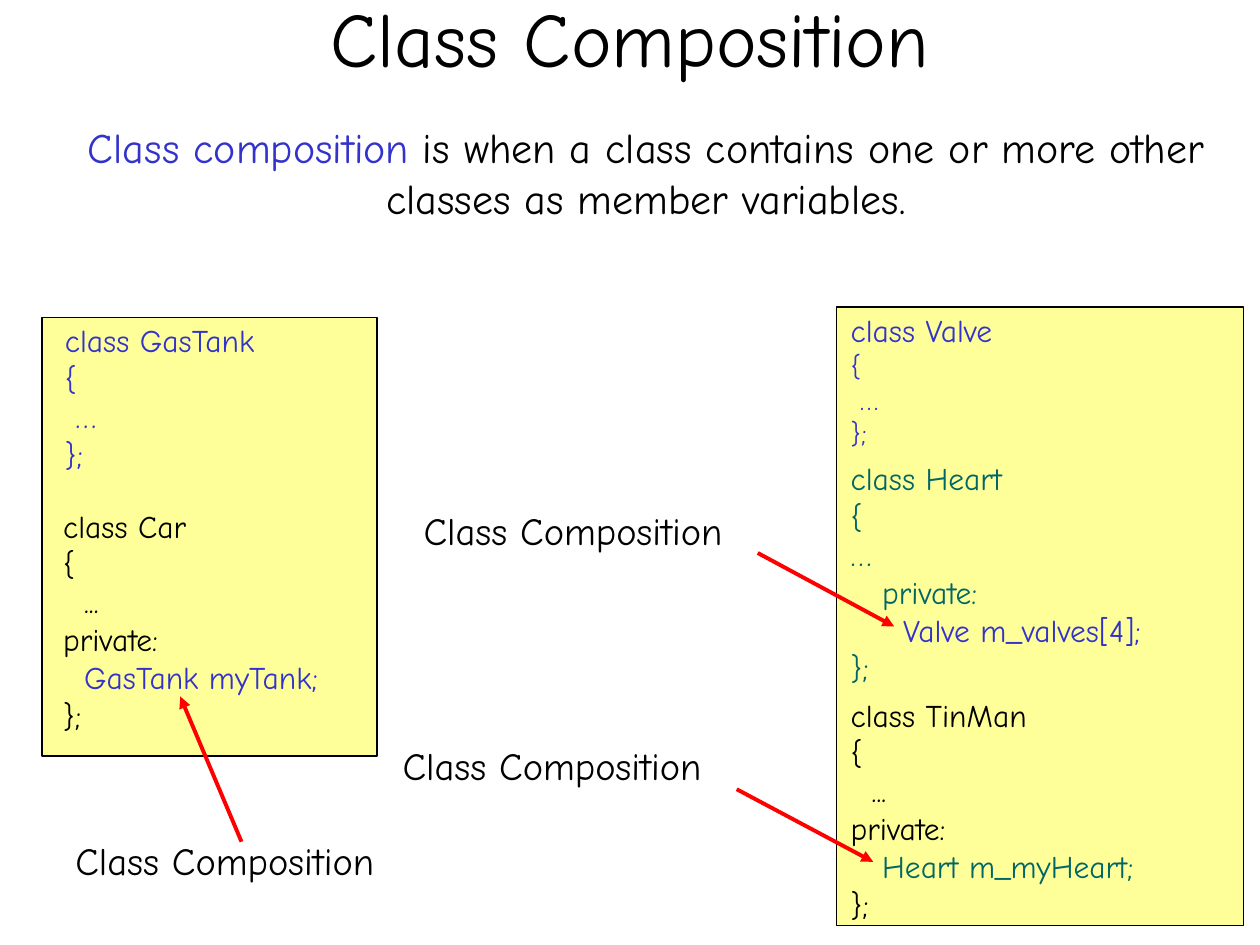
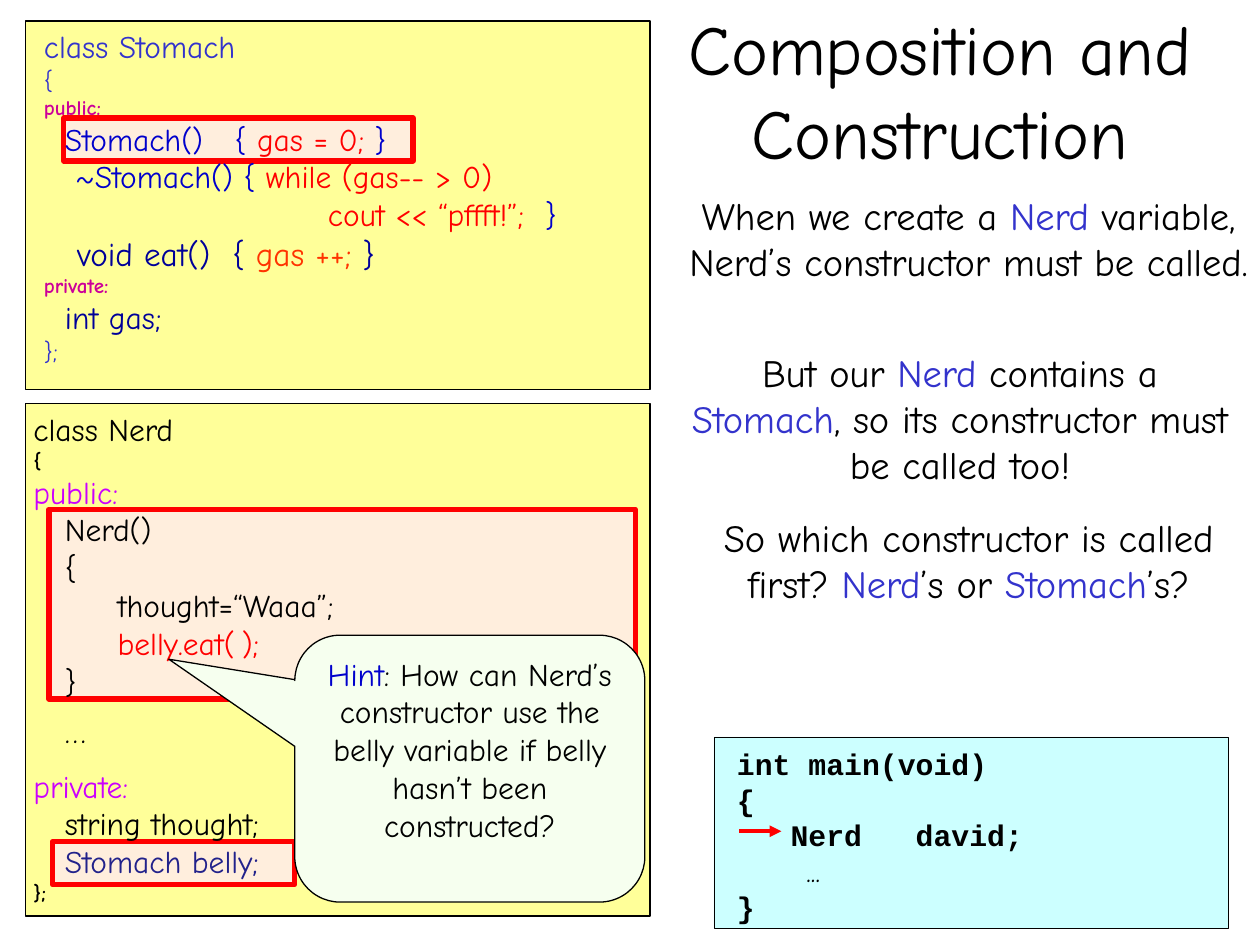
from lxml import etree
from pptx import Presentation
from pptx.dml.color import RGBColor
from pptx.enum.shapes import MSO_CONNECTOR, MSO_SHAPE
from pptx.enum.text import MSO_ANCHOR, MSO_AUTO_SIZE, PP_ALIGN
from pptx.oxml.ns import qn
from pptx.util import Pt

RECT, BUBBLE = MSO_SHAPE.RECTANGLE, MSO_SHAPE.ROUNDED_RECTANGULAR_CALLOUT
LINE = MSO_CONNECTOR.STRAIGHT
LEFT, MID = PP_ALIGN.LEFT, PP_ALIGN.CENTER
TOP, CENTER = MSO_ANCHOR.TOP, MSO_ANCHOR.MIDDLE

BLACK = RGBColor(0x00, 0x00, 0x00)
BLUE = RGBColor(0x33, 0x33, 0xCC)
DEEP = RGBColor(0x00, 0x00, 0xCC)
NAVY = RGBColor(0x00, 0x00, 0x99)
DUSK = RGBColor(0x22, 0x22, 0x8B)
TEAL = RGBColor(0x00, 0x66, 0x66)
RED = RGBColor(0xFF, 0x00, 0x00)
ORANGE = RGBColor(0xFF, 0x33, 0x00)
PLUM = RGBColor(0xCC, 0x00, 0x99)
PINK = RGBColor(0xCC, 0x00, 0xFF)
YELLOW = RGBColor(0xFF, 0xFF, 0x99)
CYAN = RGBColor(0xCC, 0xFF, 0xFF)
PEACH = RGBColor(0xFF, 0xEE, 0xDD)
MINT = RGBColor(0xF6, 0xFF, 0xEF)

HAND, MONO = "Comic Neue", "Courier New"


# Run formats used again and again
def ink(text, tone, **form):
    return text, dict(form, tone=tone)


def access(word):
    return [ink(word, PLUM, size=12, bold=True)]


# Content: a line is a string or a list of runs
DEFINE = [[ink("Class composition", BLUE),
           " is when a class contains one or more other classes as member variables."]]
TANK = ["class GasTank", "{", " …", "};"]
CAR = ["class Car", "{", "  ...", "private:",
       ["  ", ink("GasTank myTank;", BLUE)], "};"]
VALVE = [[("class Valve", {"size": 18})], "{", " …", "};"]
HEART = ["class Heart", "{", "…", "   private:",
         ["     ", ink("Valve m_valves[4];", BLUE)], "};"]
TINMAN = ["class TinMan", "{", "  ...", "private:",
          ["   ", ink("Heart m_myHeart;", TEAL)], "};"]

# Code on the first slide: box, lines, colour, size
CODES = [
    ((30, 180, 132, 119), TANK, BLUE, 18),
    ((29, 286, 186, 138), CAR, BLACK, 18),
    ((479, 174, 231, 99), VALVE, BLUE, 16),
    ((479, 259, 231, 140), HEART, TEAL, 18),
    ((479, 394, 231, 140), TINMAN, BLACK, 18),
]
# Label box, then arrow start and end
MARKS = [
    ((36, 474.5, 200, 34), (138, 481), (103, 398)),
    ((235, 286, 200, 34), (433, 316), (511, 358)),
    ((223, 420.5, 200, 34), (421, 451), (499, 492.5)),
]

STOMACH = [
    "class Stomach",
    [("{", {"size": 14})],
    access("public:"),
    [ink("  Stomach()   { ", DEEP), ink("gas = 0;", RED), ink(" }", DEEP)],
    [ink("   ~Stomach() { ", DEEP), ink("while (gas-- > 0)", RED)],
    [ink("                           cout << “pffft!”;  ", RED), ink("}", DEEP)],
    [ink("   void eat()  { ", NAVY, size=19), ink("gas ++; ", ORANGE, size=19),
     ink("}", NAVY, size=19)],
    access("private:"),
    [ink("  int gas;", NAVY)],
    [("};", {"size": 14})],
]
NERD = [
    "class Nerd",
    [("{", {"size": 12, "bold": True})],
    [ink("public:", PINK)],
    "   Nerd()",
    "   {",
    "        thought=“Waaa”;",
    [ink("        belly.eat(", RED), ink(" ", RED, size=12), ink(");", RED)],
    "   }",
    [("   …", {"gap": 7.2})],
    [ink("private:", PINK, gap=9.6)],
    "   string thought;",
    [ink("   Stomach belly;", DUSK)],
    [("};", {"size": 12, "bold": True})],
]
MAIN = ["int main(void)", "{", "   Nerd   david;",
        [("       ...", {"font": HAND, "bold": False})], "}"]
HINT = [[ink("Hint", DEEP), ": How can Nerd’s constructor use the belly variable "
         "if belly hasn’t been constructed?"]]
nerd, belly = ink("Nerd", BLUE), ink("Stomach", BLUE)
POINTS = [
    ((386, 106, 335, 86),
     ["When we create a ", nerd, " variable, Nerd’s constructor must be called."]),
    ((386, 196, 325, 86),
     ["But our ", nerd, " contains a ", belly, ", so its constructor must be called too!"]),
    ((385, 290, 337, 60),
     ["So which constructor is called first? ", nerd, "’s or ", belly, "’s?"]),
]
# Red frames behind the code: constructor, member, base constructor
FRAMES = [(28, 291, 335, 108.5), (30, 481, 138.5, 24.5), (36.5, 67.5, 199.5, 24.5)]


# Helpers
def write(shape, lines, size=18, tone=BLACK, font=HAND, bold=False,
          align=LEFT, anchor=TOP):
    frame = shape.text_frame
    frame.word_wrap = True
    frame.auto_size = MSO_AUTO_SIZE.NONE
    frame.vertical_anchor = anchor
    for i, line in enumerate(lines):
        para = frame.add_paragraph() if i else frame.paragraphs[0]
        para.alignment = align
        para.space_before = Pt(0)
        for part in [line] if isinstance(line, str) else line:
            text, form = (part, {}) if isinstance(part, str) else part
            run = para.add_run()
            run.text = text
            run.font.name = form.get("font", font)
            run.font.size = Pt(form.get("size", size))
            run.font.bold = form.get("bold", bold)
            run.font.color.rgb = form.get("tone", tone)
            if "gap" in form:
                para.space_before = Pt(form["gap"])


def note(slide, box, lines, **form):
    write(slide.shapes.add_textbox(*map(Pt, box)), lines, **form)


def panel(slide, box, fill, edge=BLACK, width=0.75, kind=RECT):
    shape = slide.shapes.add_shape(kind, *map(Pt, box))
    shape.shadow.inherit = False
    shape.fill.solid()
    shape.fill.fore_color.rgb = fill
    shape.line.color.rgb = edge
    shape.line.width = Pt(width)
    return shape


def arrow(slide, start, end):
    link = slide.shapes.add_connector(LINE, *map(Pt, start + end))
    link.line.color.rgb = RED
    link.line.width = Pt(2.25)
    etree.SubElement(link.line._get_or_add_ln(), qn("a:tailEnd"), type="triangle")
    etree.SubElement(link._element.spPr, qn("a:effectLst"))


def start(deck, title, box, size):
    slide = deck.slides.add_slide(deck.slide_layouts[5])
    head = slide.shapes.title
    head.left, head.top, head.width, head.height = map(Pt, box)
    write(head, [title], size=size, align=MID, anchor=CENTER)
    return slide


def compose(deck):
    slide = start(deck, "Class Composition", (54, -24, 612, 90), 44)
    note(slide, (36, 66, 666, 66), DEFINE, size=24, align=MID)
    # Code panels
    panel(slide, (24, 181.5, 191.5, 250.5), YELLOW)
    panel(slide, (478, 175.5, 232.5, 353.5), YELLOW)
    for box, lines, tone, size in CODES:
        note(slide, box, lines, tone=tone, size=size)
    # Labelled arrows
    for box, tail, tip in MARKS:
        arrow(slide, tail, tip)
        note(slide, box, ["Class Composition"], size=22)


def construct(deck):
    slide = start(deck, "Composition and Construction", (366, 6, 342, 90), 40)
    # Code panels and frames
    panel(slide, (14.5, 230.5, 357, 293), YELLOW)
    panel(slide, (14.5, 12, 357, 210.5), YELLOW)
    for box in FRAMES:
        panel(slide, box, PEACH, RED, 3)
    note(slide, (12, 230.5, 350, 293), NERD)
    note(slide, (18, 12, 340, 220), STOMACH, tone=BLUE)
    # Explanation
    for box, line in POINTS:
        note(slide, box, [line], size=22, align=MID)
    # Main program
    panel(slide, (408, 421, 294, 109.5), CYAN, width=0.25)
    note(slide, (414, 422.5, 300, 110), MAIN, size=17, font=MONO, bold=True)
    arrow(slide, (422.5, 475), (446.5, 475))
    # Hint
    hint = panel(slide, (168.5, 363, 200, 152.5), MINT, kind=BUBBLE)
    for i, value in enumerate((-0.86, -0.41, 0.17)):
        hint.adjustments[i] = value
    write(hint, HINT, align=MID)


def main():
    deck = Presentation()
    deck.slide_width, deck.slide_height = Pt(720), Pt(540)
    compose(deck)
    construct(deck)
    deck.save("out.pptx")


if __name__ == "__main__":
    main()
